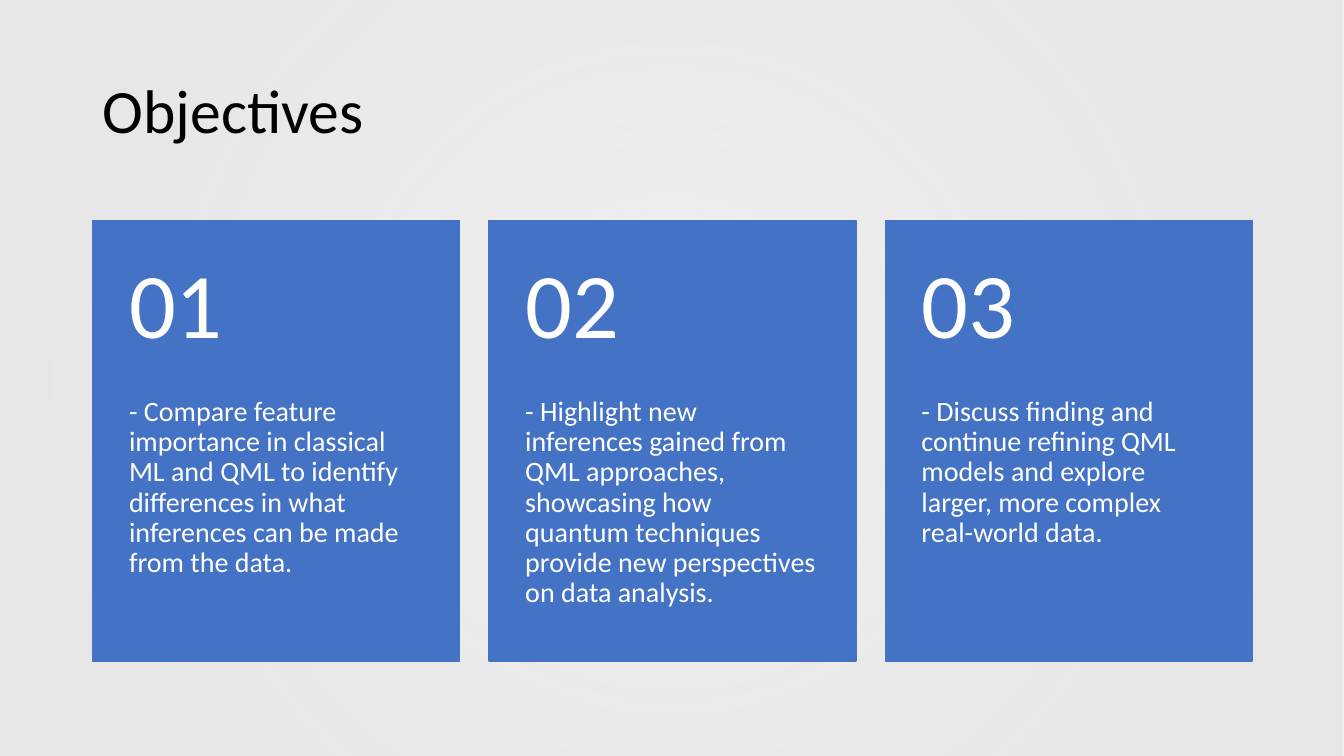
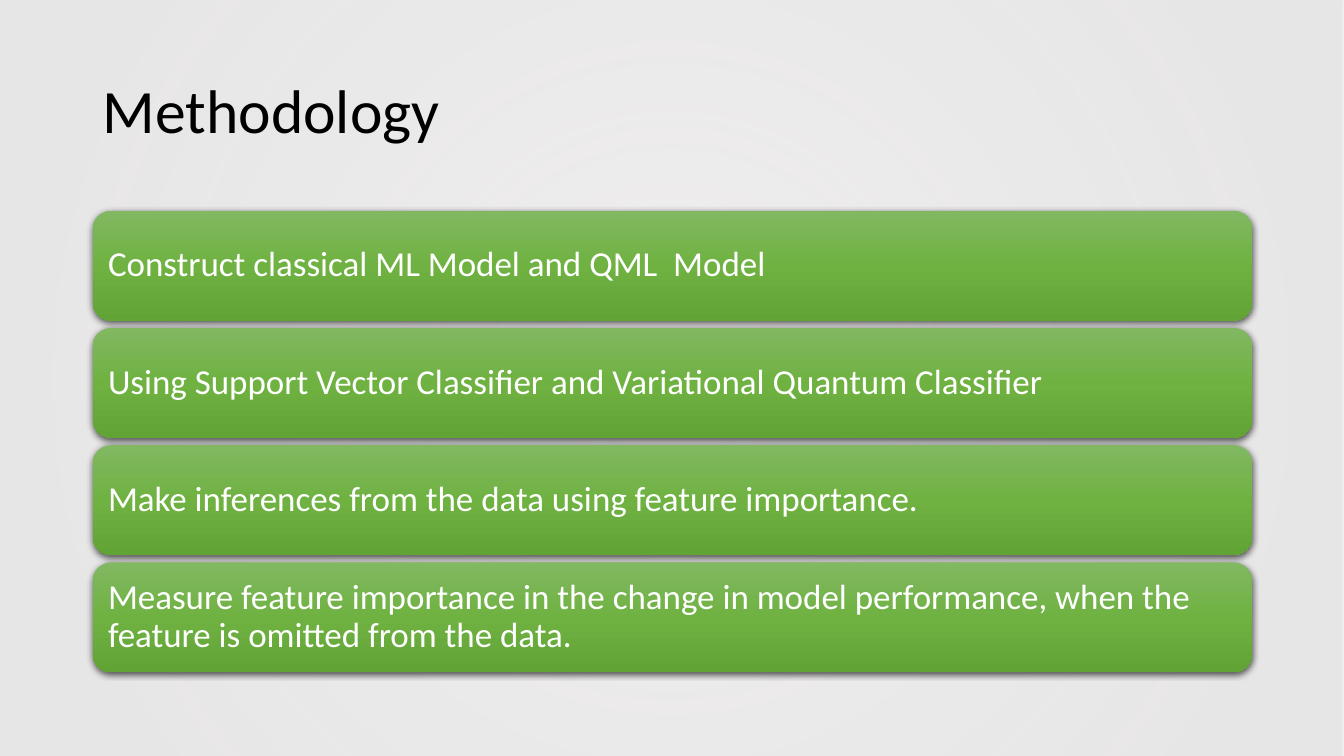
from dataclasses import dataclass

from pptx import Presentation
from pptx.dml.color import RGBColor
from pptx.enum.shapes import MSO_SHAPE
from pptx.enum.text import MSO_ANCHOR
from pptx.oxml import parse_xml
from pptx.oxml.ns import nsdecls, qn
from pptx.presentation import Presentation as Deck
from pptx.shapes.autoshape import Shape
from pptx.slide import Slide
from pptx.util import Inches, Pt

FONT = "Calibri"
BLACK = RGBColor(0x00, 0x00, 0x00)
WHITE = RGBColor(0xFF, 0xFF, 0xFF)
GREY = RGBColor(0xE7, 0xE6, 0xE6)
BLUE = RGBColor(0x44, 0x72, 0xC4)
GREEN_LIGHT = RGBColor(0x81, 0xB8, 0x61)
GREEN = RGBColor(0x6F, 0xB2, 0x42)
GREEN_DARK = RGBColor(0x62, 0xA3, 0x36)

PAGE_WIDTH, PAGE_HEIGHT = 13.33, 7.5
LEFT, CONTENT_WIDTH = 0.92, 11.5
CARD_TOP, CARD_WIDTH, CARD_HEIGHT = 2.19, 3.64, 4.37
NUMBER_HEIGHT = 1.75
BAR_TOP, BAR_HEIGHT, BARS_HEIGHT = 2.09, 1.09, 4.58


@dataclass(frozen=True)
class Area:
    """A rectangle on the page, in inches."""
    left: float
    top: float
    width: float
    height: float

    def lengths(self) -> list[int]:
        return [Inches(value) for value in (self.left, self.top, self.width, self.height)]


@dataclass(frozen=True)
class Stop:
    """One colour of a gradient; position and opacity are percentages."""
    position: int
    color: RGBColor
    opacity: int = 100


@dataclass(frozen=True)
class Objective:
    number: str
    text: str


PAGE_STOPS = [Stop(10, GREY, 68), Stop(85, GREY, 97)]
BAR_STOPS = [Stop(0, GREEN_LIGHT), Stop(50, GREEN), Stop(100, GREEN_DARK)]
RADIAL = '<a:path path="circle"><a:fillToRect l="50000" t="50000" r="50000" b="50000"/></a:path>'
DOWNWARD = '<a:lin ang="5400000" scaled="0"/>'

OBJECTIVES = [
    Objective("01", "- Compare feature importance in classical ML and QML to identify "
                    "differences in what inferences can be made from the data."),
    Objective("02", "- Highlight new inferences gained from QML approaches, showcasing how "
                    "quantum techniques provide new perspectives on data analysis."),
    Objective("03", "- Discuss finding and continue refining QML models and explore larger, "
                    "more complex real-world data."),
]
STEPS = [
    "Construct classical ML Model and QML  Model",
    "Using Support Vector Classifier and Variational Quantum Classifier",
    "Make inferences from the data using feature importance.",
    "Measure feature importance in the change in model performance, "
    "when the feature is omitted from the data.",
]


def spread(start: float, total: float, size: float, count: int) -> list[float]:
    """Return the starts of equal items that fill the total with equal gaps."""
    pitch = (total - size) / (count - 1)
    return [start + index * pitch for index in range(count)]


def add_panel(page: Slide, kind: MSO_SHAPE, area: Area) -> Shape:
    """Add a shape without fill, line or shadow."""
    panel = page.shapes.add_shape(kind, *area.lengths())
    panel.fill.background()
    panel.line.fill.background()
    panel.shadow.inherit = False
    return panel


def fill_gradient(panel: Shape, stops: list[Stop], direction: str) -> None:
    stops_xml = "".join(
        f'<a:gs pos="{stop.position * 1000}"><a:srgbClr val="{stop.color}">'
        f'<a:alpha val="{stop.opacity * 1000}"/></a:srgbClr></a:gs>'
        for stop in stops
    )
    gradient = parse_xml(
        f'<a:gradFill {nsdecls("a")} rotWithShape="1">'
        f"<a:gsLst>{stops_xml}</a:gsLst>{direction}</a:gradFill>"
    )
    properties = panel._element.spPr
    properties.replace(properties.find(qn("a:noFill")), gradient)


def add_shadow(panel: Shape) -> None:
    effects = panel._element.spPr.find(qn("a:effectLst"))
    effects.append(parse_xml(
        f'<a:outerShdw {nsdecls("a")} blurRad="{Pt(4.5)}" dist="{Pt(1.5)}" dir="5400000" '
        f'algn="ctr" rotWithShape="0"><a:srgbClr val="{BLACK}"><a:alpha val="63000"/>'
        "</a:srgbClr></a:outerShdw>"
    ))


def write(box: Shape, text: str, *, size: float, color: RGBColor = WHITE,
          anchor: MSO_ANCHOR = MSO_ANCHOR.MIDDLE,
          insets: tuple[float, float, float, float] = (0.1, 0.1, 0.1, 0.1)) -> None:
    """Write one left-aligned paragraph; insets are left, top, right, bottom."""
    frame = box.text_frame
    frame.word_wrap = True
    frame.vertical_anchor = anchor
    (frame.margin_left, frame.margin_top,
     frame.margin_right, frame.margin_bottom) = map(Inches, insets)
    para = frame.paragraphs[0]
    para.line_spacing = 0.9
    para.alignment = 1
    span = para.add_run()
    span.text = text
    span.font.name = FONT
    span.font.size = Pt(size)
    span.font.color.rgb = color


def add_page(deck: Deck, title: str) -> Slide:
    """Add a page with the shared background and title."""
    page = deck.slides.add_slide(deck.slide_layouts[6])
    backdrop = add_panel(page, MSO_SHAPE.RECTANGLE, Area(0, 0, PAGE_WIDTH, PAGE_HEIGHT))
    fill_gradient(backdrop, PAGE_STOPS, RADIAL)
    box = page.shapes.add_textbox(*Area(LEFT, 0.4, CONTENT_WIDTH, 1.45).lengths())
    write(box, title, size=44, color=BLACK, insets=(0.1, 0.05, 0.1, 0.05))
    return page


def add_card(page: Slide, left: float, objective: Objective) -> None:
    card = add_panel(page, MSO_SHAPE.RECTANGLE, Area(left, CARD_TOP, CARD_WIDTH, CARD_HEIGHT))
    card.fill.solid()
    card.fill.fore_color.rgb = BLUE
    card.line.color.rgb = BLUE
    card.line.width = Pt(1)
    number_area = Area(left, CARD_TOP, CARD_WIDTH, NUMBER_HEIGHT)
    body_area = Area(left, CARD_TOP + NUMBER_HEIGHT, CARD_WIDTH, CARD_HEIGHT - NUMBER_HEIGHT)
    write(page.shapes.add_textbox(*body_area.lengths()), objective.text, size=20,
          anchor=MSO_ANCHOR.TOP, insets=(0.36, 0, 0.36, 0.36))
    write(page.shapes.add_textbox(*number_area.lengths()), objective.number, size=66,
          insets=(0.36, 0.18, 0.36, 0.18))


def add_bar(page: Slide, top: float, text: str) -> None:
    bar = add_panel(page, MSO_SHAPE.ROUNDED_RECTANGLE, Area(LEFT, top, CONTENT_WIDTH, BAR_HEIGHT))
    fill_gradient(bar, BAR_STOPS, DOWNWARD)
    add_shadow(bar)
    write(bar, text, size=25)


def main() -> None:
    deck = Presentation()
    deck.slide_width = Inches(PAGE_WIDTH)
    deck.slide_height = Inches(PAGE_HEIGHT)

    page = add_page(deck, "Objectives")
    lefts = spread(LEFT, CONTENT_WIDTH, CARD_WIDTH, len(OBJECTIVES))
    for left, objective in zip(lefts, OBJECTIVES):
        add_card(page, left, objective)

    page = add_page(deck, "Methodology")
    tops = spread(BAR_TOP, BARS_HEIGHT, BAR_HEIGHT, len(STEPS))
    for top, step in zip(tops, STEPS):
        add_bar(page, top, step)

    deck.save("out.pptx")


if __name__ == "__main__":
    main()
